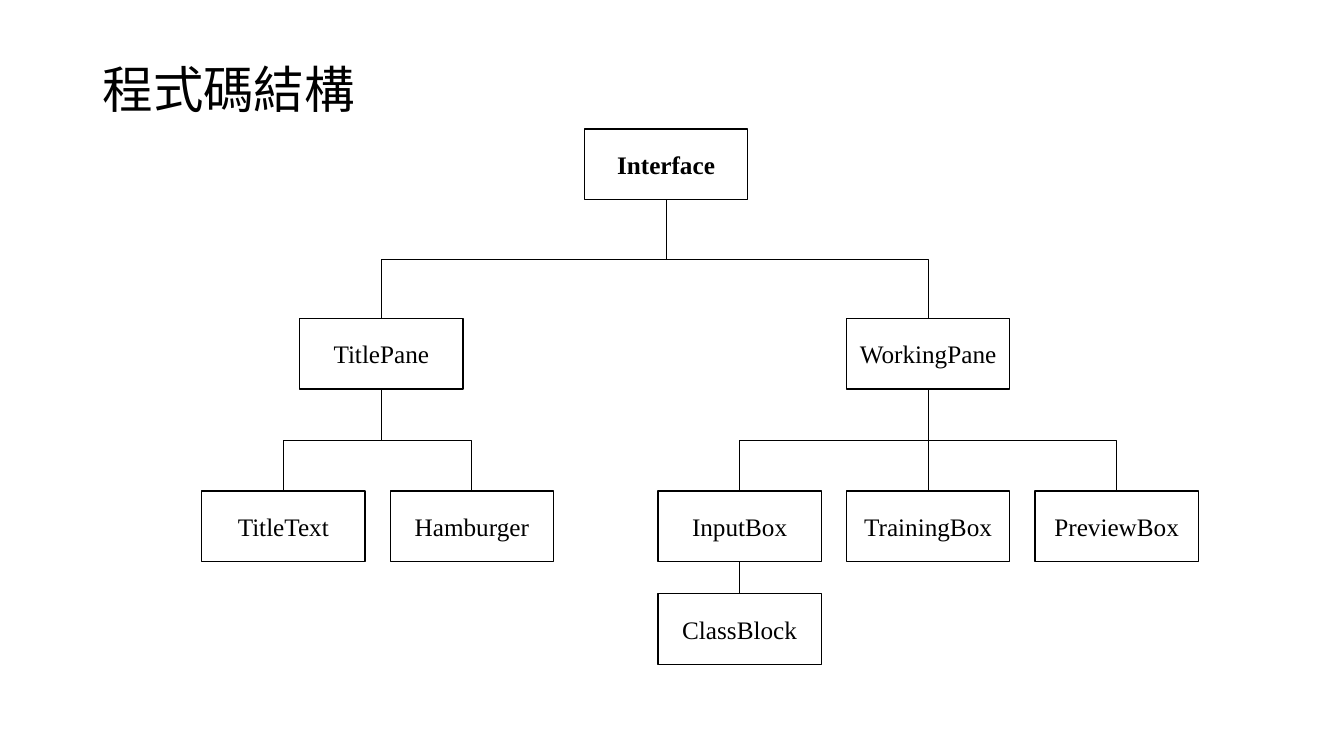
from lxml.etree import SubElement
from pptx import Presentation
from pptx.dml.color import RGBColor
from pptx.enum.shapes import MSO_CONNECTOR, MSO_SHAPE
from pptx.enum.text import MSO_ANCHOR, PP_ALIGN
from pptx.oxml.ns import qn
from pptx.util import Inches, Pt

COLORS = {"ink": "000000"}
TITLE_FONT = "Noto Sans CJK SC"
CLASS_FONT = "Times New Roman"
CLASS_WIDTH, CLASS_HEIGHT = 1.62, 0.7
COLUMN_STEP = 1.87
ROW_TOPS = [0, 1.88, 3.59, 4.61]
TOP_SITE, BOTTOM_SITE = 0, 2

CLASSES = [
    ("Interface", None, 2.03, 0),
    ("TitlePane", "Interface", 0.52, 1),
    ("WorkingPane", "Interface", 3.42, 1),
    ("TitleText", "TitlePane", 0, 2),
    ("Hamburger", "TitlePane", 1, 2),
    ("InputBox", "WorkingPane", 2.42, 2),
    ("TrainingBox", "WorkingPane", 3.42, 2),
    ("PreviewBox", "WorkingPane", 4.42, 2),
    ("ClassBlock", "InputBox", 2.42, 3),
]


def ink():
    return RGBColor.from_string(COLORS["ink"])


def style(paragraph, typeface, size, bold=False):
    font = paragraph.font
    font.name, font.size, font.bold = typeface, Pt(size), bold
    font.color.rgb = ink()
    properties = paragraph._p.pPr.find(qn("a:defRPr"))
    SubElement(properties, qn("a:ea")).set("typeface", typeface)


def add_title(slide, left, top, width, height):
    heading = slide.shapes.add_textbox(*map(Inches, (left, top, width, height)))
    frame = heading.text_frame
    frame.word_wrap = True
    frame.vertical_anchor = MSO_ANCHOR.MIDDLE
    frame.text = "程式碼結構"
    paragraph = frame.paragraphs[0]
    paragraph.line_spacing = 0.9
    style(paragraph, TITLE_FONT, 36)


def add_class(slide, name, left, top, bold):
    node = slide.shapes.add_shape(
        MSO_SHAPE.RECTANGLE, *map(Inches, (left, top, CLASS_WIDTH, CLASS_HEIGHT)))
    node.shadow.inherit = False
    node.fill.background()
    node.line.color.rgb = ink()
    node.line.width = Pt(1)
    frame = node.text_frame
    frame.word_wrap = False
    frame.vertical_anchor = MSO_ANCHOR.MIDDLE
    frame.text = name
    paragraph = frame.paragraphs[0]
    paragraph.alignment = PP_ALIGN.CENTER
    style(paragraph, CLASS_FONT, 18, bold)
    return node


def add_branch(slide, parent, child):
    start_x, end_x = (node.left + node.width // 2 for node in (parent, child))
    start_y, end_y = parent.top + parent.height, child.top
    across, down = end_x - start_x, end_y - start_y
    kind = MSO_CONNECTOR.ELBOW if across else MSO_CONNECTOR.STRAIGHT
    branch = slide.shapes.add_connector(kind, start_x, start_y, end_x, end_y)
    branch.begin_connect(parent, BOTTOM_SITE)
    branch.end_connect(child, TOP_SITE)
    branch.line.color.rgb = ink()
    branch.line.width = Pt(0.5)
    properties = branch._element.spPr
    SubElement(properties, qn("a:effectLst"))
    if across:
        branch.left = (start_x + end_x - down) // 2
        branch.top = (start_y + end_y - abs(across)) // 2
        branch.width, branch.height = down, abs(across)
        turn = properties.find(qn("a:xfrm"))
        turn.set("rot", str((270 if across > 0 else 90) * 60000))
        turn.set("flipH", "1" if across > 0 else "0")


def add_class_tree(slide, left, top):
    nodes = {}
    for name, parent, column, row in CLASSES:
        nodes[name] = add_class(slide, name, left + column * COLUMN_STEP,
                                top + ROW_TOPS[row], bold=parent is None)
        if parent:
            add_branch(slide, nodes[parent], nodes[name])


def main():
    deck = Presentation()
    deck.slide_width, deck.slide_height = Inches(13.33), Inches(7.5)
    slide = deck.slides.add_slide(deck.slide_layouts[6])
    add_title(slide, 0.92, 0.19, 11.5, 1.45)
    add_class_tree(slide, 2, 1.28)
    deck.save("out.pptx")


if __name__ == "__main__":
    main()
